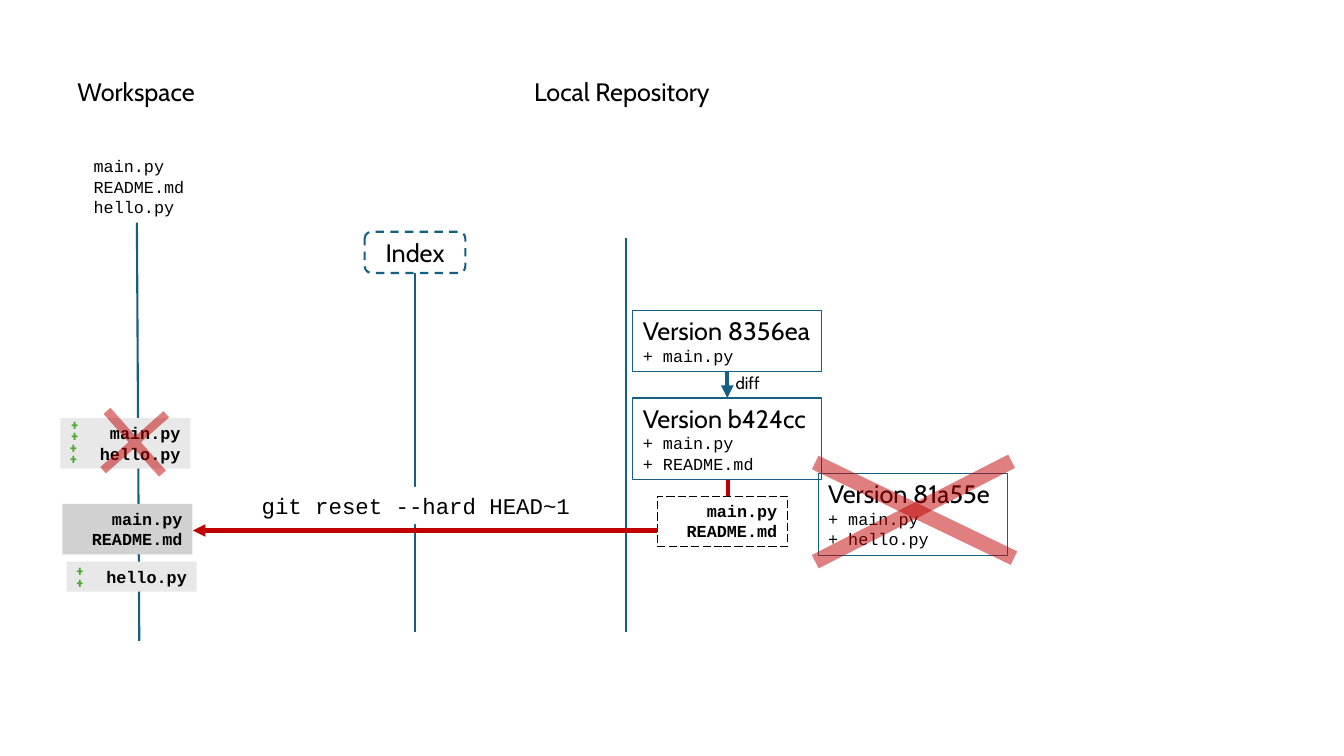
from dataclasses import dataclass

from lxml import etree
from pptx import Presentation
from pptx.dml.color import RGBColor
from pptx.enum.dml import MSO_LINE
from pptx.enum.shapes import MSO_CONNECTOR, MSO_SHAPE
from pptx.enum.text import MSO_ANCHOR, MSO_AUTO_SIZE, PP_ALIGN
from pptx.oxml.ns import qn
from pptx.util import Cm, Pt

LEFT, CENTER, RIGHT = PP_ALIGN.LEFT, PP_ALIGN.CENTER, PP_ALIGN.RIGHT
STRAIGHT, ELBOW = MSO_CONNECTOR.STRAIGHT, MSO_CONNECTOR.ELBOW
RECTANGLE, ROUNDED, CROSS = MSO_SHAPE.RECTANGLE, MSO_SHAPE.ROUNDED_RECTANGLE, MSO_SHAPE.CROSS
DASH, LONG_DASH = MSO_LINE.DASH, MSO_LINE.LONG_DASH


@dataclass(frozen=True)
class Theme:
    blue: str = "156082"
    red: str = "C00000"
    green: str = "4EA72E"
    black: str = "000000"
    white: str = "FFFFFF"
    light_grey: str = "E8E8E8"
    grey: str = "D1D1D1"
    label: tuple = ("Cabin", 18)
    small_label: tuple = ("Cabin", 12)
    code: tuple = ("Courier New", 12)
    command: tuple = ("Courier New", 16)
    mark: tuple = ("Roboto Condensed", 10)


theme = Theme()
deck = Presentation()
deck.slide_width, deck.slide_height = Cm(33.87), Cm(19.05)
page = deck.slides.add_slide(deck.slide_layouts[6])


def write(lines, bounds, style=theme.code, first_style=None, color=theme.black,
          bold=False, align=LEFT, fill=None, outline=None, weight=0.75,
          dash=None, spacing=None, preset=None):
    """Add a box with one paragraph per line; first_style formats the first one."""
    area = [Cm(value) for value in bounds]
    if preset is None:
        box = page.shapes.add_textbox(*area)
    else:
        box = page.shapes.add_shape(preset, *area)
        box.shadow.inherit = False
    if fill:
        box.fill.solid()
        box.fill.fore_color.rgb = RGBColor.from_string(fill)
    if outline:
        box.line.color.rgb = RGBColor.from_string(outline)
        box.line.width = Pt(weight)
        box.line.dash_style = dash
    frame = box.text_frame
    frame.word_wrap = align != LEFT
    frame.auto_size = MSO_AUTO_SIZE.NONE if preset else MSO_AUTO_SIZE.SHAPE_TO_FIT_TEXT
    frame.vertical_anchor = MSO_ANCHOR.MIDDLE if preset else MSO_ANCHOR.TOP
    for index, line in enumerate(lines):
        para = frame.paragraphs[0] if index == 0 else frame.add_paragraph()
        para.alignment = align
        para.line_spacing = spacing
        span = para.add_run()
        span.text = line
        font_name, size = first_style if first_style and index == 0 else style
        span.font.name, span.font.size, span.font.bold = font_name, Pt(size), bold
        span.font.color.rgb = RGBColor.from_string(color)


def connect(start, end, color=theme.blue, weight=1.5, arrow=False, kind=STRAIGHT):
    connector = page.shapes.add_connector(kind, *[Cm(value) for value in start + end])
    connector.line.color.rgb = RGBColor.from_string(color)
    connector.line.width = Pt(weight)
    if arrow:
        etree.SubElement(connector.line._get_or_add_ln(), qn("a:tailEnd"), type="triangle")
    etree.SubElement(connector._element.spPr, qn("a:effectLst"))
    return connector


# Timelines and arrows
connect((3.51, 16.15), (3.45, 5.61))
connect((10.46, 15.93), (10.46, 6.88))
connect((15.77, 15.93), (15.77, 5.99))
connect((18.33, 9.35), (18.33, 10.03), weight=3, arrow=True)

# A quarter turn makes the elbow run down from the version, then left to the workspace
reset_arrow = connect((10.97, 5.99), (12.24, 19.48), color=theme.red, weight=3,
                      arrow=True, kind=ELBOW)
reset_properties = reset_arrow._element.spPr
reset_properties.find(qn("a:xfrm")).set("rot", str(90 * 60000))
reset_properties.find(qn("a:prstGeom")).set("prst", "bentConnector2")

# Column labels
write(["Workspace"], (1.7, 1.8, 3.63, 1.02), style=theme.label)
write(["Local Repository"], (13.21, 1.8, 5.13, 1.02), style=theme.label)
write(["Index"], (9.19, 5.84, 2.54, 1.04), style=theme.label, align=CENTER,
      fill=theme.white, outline=theme.blue, weight=1.5, dash=DASH, preset=ROUNDED)
write(["main.py", "README.md", "hello.py"], (2.11, 3.81, 2.84, 1.8))
write(["diff"], (18.29, 9.27, 1.12, 0.76), style=theme.small_label)
write(["git reset --hard HEAD~1"], (6.2, 12.27, 8.56, 0.94), style=theme.command,
      align=CENTER, fill=theme.white)

# Committed versions
versions = [
    (15.95, 7.82, 1.55, ["Version 8356ea", "+ main.py"]),
    (15.95, 10.03, 2.06, ["Version b424cc", "+ main.py", "+ README.md"]),
    (20.62, 11.94, 2.06, ["Version 81a55e", "+ main.py", "+ hello.py"]),
]
for left, top, height, lines in versions:
    write(lines, (left, top, 4.76, height), first_style=theme.label, outline=theme.blue)

# File sets
file_sets = [
    (1.52, 10.54, 1.27, ["main.py", "hello.py"], theme.light_grey, None),
    (16.56, 12.5, 1.27, ["main.py", "README.md"], theme.white, theme.black),
    (1.57, 12.7, 1.27, ["main.py", "README.md"], theme.grey, None),
    (1.68, 14.15, 0.76, ["hello.py"], theme.light_grey, None),
]
for left, top, height, lines, fill, outline in file_sets:
    write(lines, (left, top, 3.28, height), bold=True, align=RIGHT, fill=fill,
          outline=outline, dash=LONG_DASH)

for left, top in [(1.55, 10.52), (1.52, 11.1), (1.68, 14.2)]:
    write(["+", "+"], (left, top, 0.71, 0.84), style=theme.mark, color=theme.green,
          bold=True, spacing=Pt(8))

# Translucent strikes over the discarded files and version
strikes = [
    (CROSS, (2.34, 10.08, 2.11, 2.13), 48.5),
    (RECTANGLE, (20.27, 12.67, 5.56, 0.38), 25.7),
    (RECTANGLE, (20.24, 12.7, 5.56, 0.38), 332.9),
]
for preset, bounds, rotation in strikes:
    strike = page.shapes.add_shape(preset, *[Cm(value) for value in bounds])
    strike.rotation = rotation
    strike.shadow.inherit = False
    strike.line.fill.background()
    strike.fill.solid()
    strike.fill.fore_color.rgb = RGBColor.from_string(theme.red)
    strike_color = strike._element.spPr.find(qn("a:solidFill"))[0]
    etree.SubElement(strike_color, qn("a:alpha"), val="50000")
    if preset == CROSS:
        strike.adjustments[0] = 0.45

deck.save("out.pptx")
